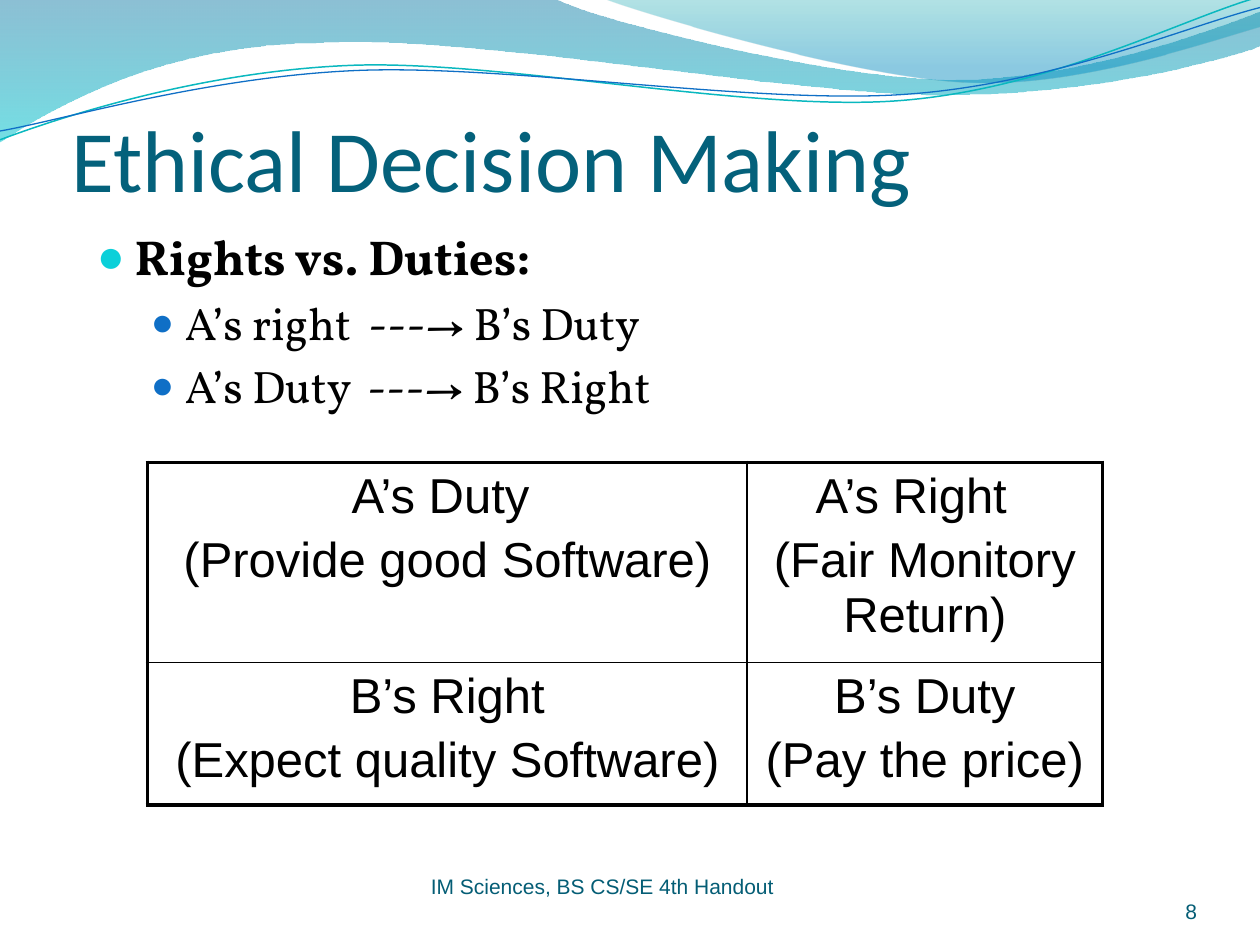
from lxml.etree import SubElement
from pptx import Presentation
from pptx.dml.color import RGBColor
from pptx.enum.text import MSO_ANCHOR, PP_ALIGN
from pptx.oxml.ns import qn
from pptx.util import Pt

PX = 9144  # 100 px to the inch

THEME = {
    "head": "04617B", "foot": "045D75", "ink": "000000",
    "aqua": "0BD0D9", "blue": "0F6FC6", "teal": "0AB8BF",
    "title": 50, "main": 28, "sub": 26, "small": 12,
    "sans": "Calibri", "serif": "Vollkorn", "plain": "Arial",
}


def write(frame, text, size, font, color="ink", bold=False,
          align=PP_ALIGN.LEFT, gap=0, dot=None, scale=100, left=0, hang=0):
    """Add a paragraph; gap is a percentage, dot is the bullet colour."""
    para = frame.paragraphs[0]
    if para.runs:
        para = frame.add_paragraph()
    para.alignment = align
    run = para.add_run()
    run.text = text
    run.font.size = Pt(THEME[size])
    run.font.name = THEME[font]
    run.font.bold = bold
    run.font.color.rgb = RGBColor.from_string(THEME[color])
    props = para._p.get_or_add_pPr()
    if gap:
        before = SubElement(props, qn("a:spcBef"))
        SubElement(before, qn("a:spcPct"), val=str(gap * 1000))
    if dot:
        props.set("marL", str(left * PX))
        props.set("indent", str(-hang * PX))
        tint = SubElement(props, qn("a:buClr"))
        SubElement(tint, qn("a:srgbClr"), val=THEME[dot])
        SubElement(props, qn("a:buSzPct"), val=str(scale * 1000))
        SubElement(props, qn("a:buFont"), typeface=THEME["plain"])
        SubElement(props, qn("a:buChar"), char="●")


def box(x, y, w, h, pad=(0, 0, 0, 0), anchor=MSO_ANCHOR.BOTTOM):
    """Add a wrapping text box and return its frame."""
    frame = slide.shapes.add_textbox(x * PX, y * PX, w * PX, h * PX).text_frame
    frame.word_wrap = True
    frame.vertical_anchor = anchor
    (frame.margin_left, frame.margin_top,
     frame.margin_right, frame.margin_bottom) = [n * PX for n in pad]
    return frame


deck = Presentation()
deck.slide_width, deck.slide_height = 1000 * PX, 750 * PX
slide = deck.slides.add_slide(deck.slide_layouts[6])

# Waves: two numbers make a straight step, six make a Bezier curve.
# Fill stops are (position, colour, opacity in percent).
waves = [
    {"start": (0, -1), "fill": [(0, "0074A1", 45), (100, "00C6CF", 55)],
     "steps": [(440, -1), (476, 17, 664, 63, 758, 63),
               (853, 63, 958, 26, 1000, 9), (1001, 36),
               (983, 44, 870, 76, 746, 75), (622, 75, 382, 28, 257, 34),
               (129, 35, 46, 83, -1, 113)]},
    {"start": (479, -1), "fill": [(0, "00A1A9", 30), (80, "008BBF", 45)],
     "steps": [(509, 11, 682, 62, 769, 65), (856, 69, 961, 32, 1000, 21),
               (1000, 0)]},
    {"start": (0, 111), "line": ("teal", 0.85),
     "steps": [(48, 93, 158, 57, 277, 52), (395, 47, 593, 89, 713, 80),
               (833, 71, 938, 15, 998, -2)]},
    {"start": (0, 104), "line": ("blue", 0.75),
     "steps": [(47, 96, 164, 61, 283, 56), (403, 51, 597, 83, 717, 75),
               (836, 67, 941, 21, 1000, 6)]},
]
for wave in waves:
    ends = [step[-2:] for step in wave["steps"]]
    path = slide.shapes.build_freeform(*wave["start"], scale=PX)
    path.add_line_segments(ends, close="fill" in wave)
    shape = path.convert_to_shape()
    shape.shadow.inherit = False
    left = min(x for x, y in [wave["start"], *ends])
    top = min(y for x, y in [wave["start"], *ends])
    nodes = list(shape._element.spPr.iter(qn("a:lnTo")))
    for node, step in zip(nodes, wave["steps"]):
        if len(step) == 6:
            node.clear()
            node.tag = qn("a:cubicBezTo")
            for x, y in zip(step[::2], step[1::2]):
                SubElement(node, qn("a:pt"), x=str(x - left), y=str(y - top))
    if "fill" in wave:
        shape.line.fill.background()
        shape.fill.gradient()
        shape.fill.gradient_angle = 270
        for stop, (place, color, alpha) in zip(shape.fill.gradient_stops, wave["fill"]):
            stop.position = place / 100
            stop.color.rgb = RGBColor.from_string(color)
        for node, (place, color, alpha) in zip(
                shape._element.spPr.iter(qn("a:srgbClr")), wave["fill"]):
            SubElement(node, qn("a:alpha"), val=str(alpha * 1000))
    else:
        color, width = wave["line"]
        shape.fill.background()
        shape.line.color.rgb = RGBColor.from_string(THEME[color])
        shape.line.width = Pt(width)

write(box(57, 67, 877, 100, pad=(0, 5, 0, 0)), "Ethical Decision Making",
      size="title", font="sans", color="head")

body = box(67, 175, 867, 175, pad=(10, 5, 10, 5), anchor=MSO_ANCHOR.TOP)
write(body, "Rights vs. Duties:", size="main", font="serif", bold=True,
      gap=20, dot="aqua", scale=95, left=30, hang=30)
for text in ("A’s right  ---→ B’s Duty", "A’s Duty  ---→ B’s Right"):
    write(body, text, size="sub", font="serif",
          gap=20, dot="blue", scale=85, left=70, hang=27)

rows = [
    [("A’s Duty ", "(Provide good Software)"),
     ("A’s Right  ", "(Fair Monitory Return)")],
    [("B’s Right", "(Expect quality Software)"),
     ("B’s Duty", "(Pay the price)")],
]
grid = slide.shapes.add_table(2, 2, 117 * PX, 367 * PX, 758 * PX, 272 * PX).table
grid.first_row = grid.horz_banding = False
for col, width in zip(grid.columns, (476, 282)):
    col.width = width * PX
for row, height in zip(grid.rows, (159, 113)):
    row.height = height * PX
for r, row in enumerate(rows):
    for c, lines in enumerate(row):
        cell = grid.cell(r, c)
        for text in lines:
            write(cell.text_frame, text, size="main", font="plain",
                  align=PP_ALIGN.CENTER, gap=20)
        props = cell._tc.get_or_add_tcPr()
        sides = {"L": c == 0, "R": c == 1, "T": r == 0, "B": r == 1}
        for side, outer in sides.items():
            edge = SubElement(props, qn("a:ln" + side), w=str(Pt(2.25 if outer else 1)))
            fill = SubElement(edge, qn("a:solidFill"))
            SubElement(fill, qn("a:srgbClr"), val=THEME["ink"])
        cell.fill.background()

write(box(342, 663, 317, 50), "IM Sciences, BS CS/SE 4th Handout",
      size="small", font="plain", color="foot")
write(box(717, 683, 233, 50), "8", size="small", font="plain",
      color="foot", align=PP_ALIGN.RIGHT)

deck.save("out.pptx")
